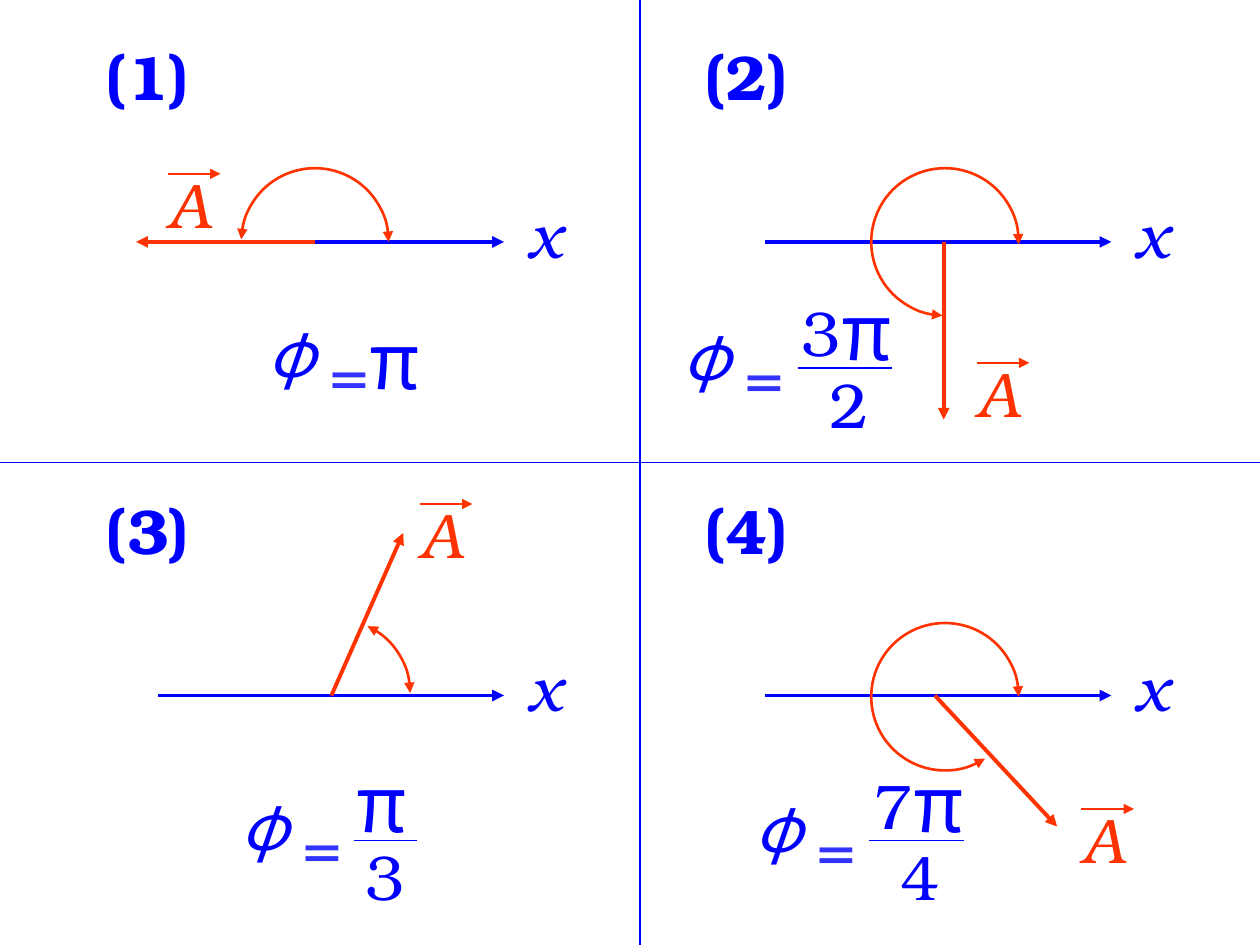
import lxml.etree
import pptx
import pptx.dml.color
import pptx.enum.shapes
import pptx.enum.text
import pptx.oxml.ns
import pptx.util

Inches = pptx.util.Inches
qn = pptx.oxml.ns.qn
STRAIGHT = pptx.enum.shapes.MSO_CONNECTOR.STRAIGHT
ARC = pptx.enum.shapes.MSO_SHAPE.ARC

SERIF, GREEK = "TeX Gyre Bonum", "Noto Sans CJK SC"
BLUE, BRIGHT_BLUE, RED = "0000FF", "3333FF", "FF3300"
THEME = {
    "text": {
        "label": {"color": BLUE, "name": SERIF, "size": 36, "bold": True},
        "axis": {"color": BLUE, "name": SERIF, "size": 36, "italic": True},
        "vector": {"color": RED, "name": SERIF, "size": 36, "italic": True},
        "phi": {"color": BLUE, "name": GREEK, "size": 36, "italic": True},
        "equals": {"color": BRIGHT_BLUE, "name": SERIF, "size": 36},
        "digit": {"color": BLUE, "name": SERIF, "size": 36},
        "pi": {"color": BLUE, "name": GREEK, "size": 44},
    },
    "line": {
        "thin": (BLUE, 0.75),
        "axis": (BLUE, 2.25),
        "over": (RED, 0.75),
        "vector": (RED, 2.25),
        "angle": (RED, 1.5),
    },
}
SIZES = {
    "label": (0.85, 0.7), "axis": (0.47, 0.7), "vector": (0.35, 0.54),
    "phi": (0.34, 0.6), "equals": (0.3, 0.6), "digit": (0.31, 0.6), "pi": (0.4, 0.73),
}


def add_text(group, text, style, left, top):
    width, height = SIZES[style]
    box = group.shapes.add_textbox(Inches(left), Inches(top), Inches(width), Inches(height))
    padded = style in ("label", "axis")
    frame_format = {
        "margin_left": Inches(0.1 if padded else 0),
        "margin_right": Inches(0.1 if padded else 0),
        "margin_top": Inches(0.05 if padded else 0),
        "margin_bottom": Inches(0.05 if padded else 0),
        "word_wrap": False,
        "auto_size": pptx.enum.text.MSO_AUTO_SIZE.SHAPE_TO_FIT_TEXT,
    }
    for attribute, value in frame_format.items():
        setattr(box.text_frame, attribute, value)
    paragraph = box.text_frame.paragraphs[0]
    if style == "vector":
        paragraph.line_spacing = 0.9
    run = paragraph.add_run()
    run.text = text
    for attribute, value in THEME["text"][style].items():
        if attribute == "color":
            run.font.color.rgb = pptx.dml.color.RGBColor.from_string(value)
        else:
            setattr(run.font, attribute, pptx.util.Pt(value) if attribute == "size" else value)
    east_asian = lxml.etree.SubElement(run._r.get_or_add_rPr(), qn("a:ea"))
    east_asian.set("typeface", run.font.name)


def format_line(shape, style, arrowheads=()):
    color, width = THEME["line"][style]
    shape.line.color.rgb = pptx.dml.color.RGBColor.from_string(color)
    shape.line.width = pptx.util.Pt(width)
    for arrowhead in arrowheads:
        lxml.etree.SubElement(shape.line._get_or_add_ln(), qn(arrowhead)).set("type", "triangle")
    lxml.etree.SubElement(shape._element.spPr, qn("a:effectLst"))


presentation = pptx.Presentation()
presentation.slide_width = Inches(10)
presentation.slide_height = Inches(7.5)
slide = presentation.slides.add_slide(presentation.slide_layouts[6])

quadrants = [
    {"label": "(1)", "label_at": (0.75, 0.25), "axis_at": (1.25, 1.92),
     "vector": (2.5, 1.92, 1.08, 1.92), "name_at": (1.33, 1.38),
     "center": (2.5, 1.92), "angles": (182, 0),
     "phi_at": (2.12, 2.5), "pi_at": (2.93, 2.48), "fraction": ("", "")},
    {"label": "(2)", "label_at": (5.5, 0.25), "axis_at": (6.07, 1.92),
     "vector": (7.49, 1.92, 7.49, 3.33), "name_at": (7.75, 2.88),
     "center": (7.5, 1.92), "angles": (92, 2),
     "phi_at": (5.42, 2.52), "pi_at": (6.68, 2.25), "fraction": ("3", "2")},
    {"label": "(3)", "label_at": (0.75, 3.85), "axis_at": (1.25, 5.52),
     "vector": (2.63, 5.52, 3.2, 4.23), "name_at": (3.33, 4),
     "center": (2.67, 5.5), "angles": (295, 0),
     "phi_at": (1.91, 6.25), "pi_at": (2.83, 6), "fraction": ("", "3")},
    {"label": "(4)", "label_at": (5.5, 3.85), "axis_at": (6.07, 5.52),
     "vector": (7.42, 5.52, 8.39, 6.56), "name_at": (8.58, 6.42),
     "center": (7.5, 5.53), "angles": (57, 0),
     "phi_at": (5.99, 6.27), "pi_at": (7.25, 6), "fraction": ("7", "4")},
]
diameter = 1.17

for quadrant in quadrants:
    group = slide.shapes.add_group_shape()
    axis_left, axis_top = quadrant["axis_at"]
    name_left, name_top = quadrant["name_at"]
    phi_left, phi_top = quadrant["phi_at"]
    pi_left, pi_top = quadrant["pi_at"]
    numerator, denominator = quadrant["fraction"]

    texts = [
        (quadrant["label"], "label", *quadrant["label_at"]),
        ("x", "axis", axis_left + 2.84, axis_top - 0.42),
        ("A", "vector", name_left, name_top),
        ("φ", "phi", phi_left, phi_top),
        ("=", "equals", phi_left + 0.5, phi_top + 0.15),
        ("π", "pi", pi_left, pi_top),
    ]
    lines = [
        ("axis", axis_left, axis_top, axis_left + 2.75, axis_top),
        ("vector", *quadrant["vector"]),
        ("over", name_left, name_top, name_left + 0.42, name_top),
    ]
    if numerator:
        texts.append((numerator, "digit", pi_left - 0.32, pi_top + 0.08))
    if denominator:
        shift, bar_shift, bar_width = (-0.1, -0.35, 0.75) if numerator else (0.07, -0.02, 0.5)
        bar_left, bar_top = pi_left + bar_shift, pi_top + 0.67
        texts.append((denominator, "digit", pi_left + shift, pi_top + 0.65))
        lines.append(("thin", bar_left, bar_top, bar_left + bar_width, bar_top))

    for text in texts:
        add_text(group, *text)
    for style, *ends in lines:
        connector = group.shapes.add_connector(STRAIGHT, *map(Inches, ends))
        format_line(connector, style, () if style == "thin" else ("a:tailEnd",))

    left, top = (middle - diameter / 2 for middle in quadrant["center"])
    arc = group.shapes.add_shape(ARC, Inches(left), Inches(top), Inches(diameter), Inches(diameter))
    for index, degrees in enumerate(quadrant["angles"]):
        arc.adjustments[index] = degrees * 0.6
    arc.fill.background()
    format_line(arc, "angle", ("a:headEnd", "a:tailEnd"))

dividers = slide.shapes.add_group_shape()
for ends in [(5.08, 0, 5.08, 7.5), (0, 3.67, 10, 3.67)]:
    divider = dividers.shapes.add_connector(STRAIGHT, *map(Inches, ends))
    format_line(divider, "thin")

presentation.save("out.pptx")
